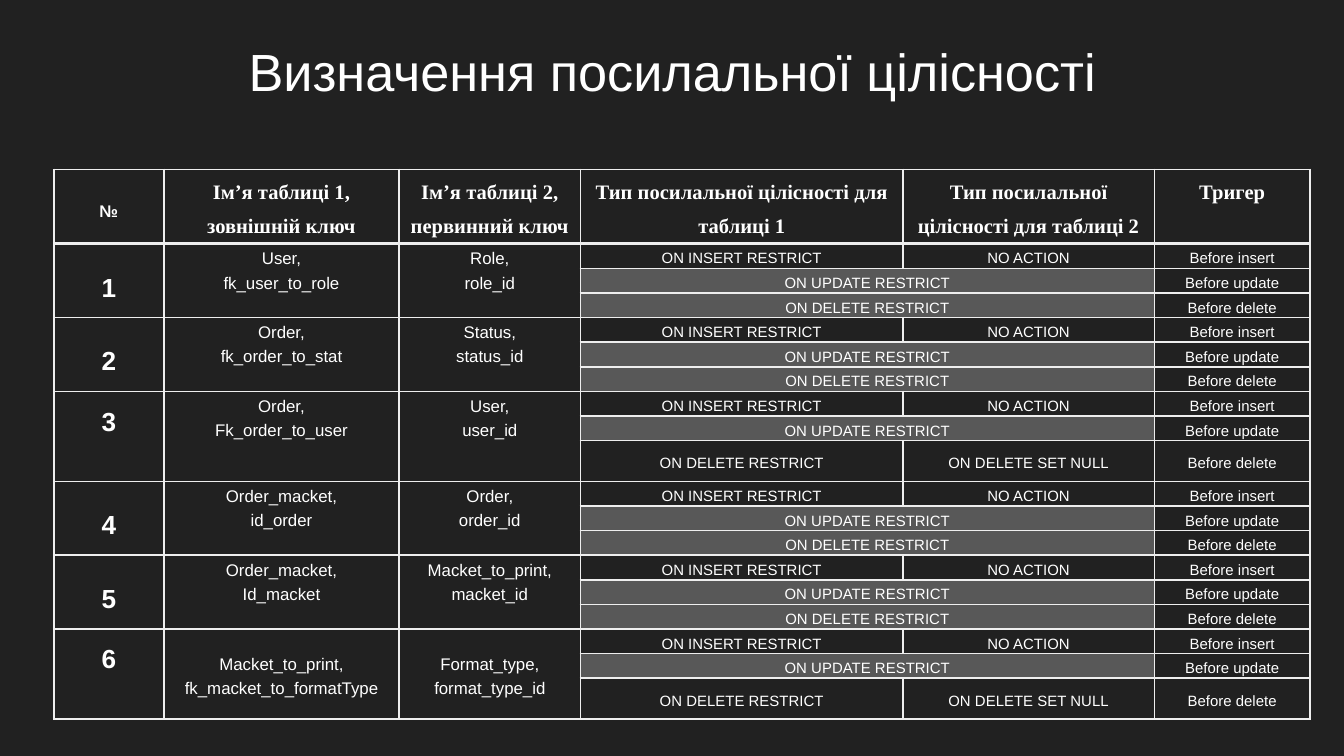
"""Builds a slide with a table of referential integrity rules."""
from lxml.etree import SubElement as Sub
from pptx import Presentation
from pptx.dml.color import RGBColor as Rgb
from pptx.enum.text import MSO_ANCHOR as Anchor, PP_ALIGN as Align
from pptx.oxml.ns import qn
from pptx.util import Pt

TITLE = "Визначення посилальної цілісності"
HEADS = [
    "№",
    "Ім’я таблиці 1, зовнішній ключ",
    "Ім’я таблиці 2, первинний ключ",
    "Тип посилальної цілісності для таблиці 1",
    "Тип посилальної цілісності для таблиці 2",
    "Тригер",
]
LINKS = [
    ("User,\nfk_user_to_role", "Role,\nrole_id", False),
    ("Order,\nfk_order_to_stat", "Status,\nstatus_id", False),
    ("Order,\nFk_order_to_user", "User,\nuser_id", True),
    ("Order_macket,\nid_order", "Order,\norder_id", False),
    ("Order_macket,\nId_macket", "Macket_to_print, macket_id", False),
    ("Macket_to_print, fk_macket_to_formatType", "Format_type, format_type_id", True),
]
EVENTS = ["insert", "update", "delete"]
COLORS = {"back": "212121", "band": "585858", "text": "FFFFFF", "line": "EEEEEE"}
WIDTHS = [59, 126, 97.2, 172.8, 134.6, 83.5]
HEAD_H, ROW_H, TALL_H = 39.9, 13.2, 20.9


def style(par, size, bold=False, face="Arial", gap=1.3):
    par.alignment = Align.CENTER
    par.line_spacing = gap
    par.font.size = Pt(size)
    par.font.bold = bold
    par.font.name = face
    par.font.color.rgb = Rgb.from_string(COLORS["text"])


def edge(cell, row):
    props = cell._tc.get_or_add_tcPr()
    for side in "LRTB":
        thick = (row, side) in [(0, "B"), (1, "T")]
        line = Sub(props, qn(f"a:ln{side}"), w=str(Pt(2 if thick else 1)))
        fill = Sub(line, qn("a:solidFill"))
        Sub(fill, qn("a:srgbClr"), val=COLORS["line"])


def put(cell, text, size, anchor=Anchor.MIDDLE, fill="back", **look):
    cell.text = text
    cell.vertical_anchor = anchor
    cell.fill.solid()
    cell.fill.fore_color.rgb = Rgb.from_string(COLORS[fill])
    for par in cell.text_frame.paragraphs:
        style(par, size, **look)


def fill_head(grid):
    for col, text in enumerate(HEADS):
        if col:
            put(grid.cell(0, col), text, 11, Anchor.TOP, bold=True,
                face="Times New Roman", gap=1.5)
        else:
            put(grid.cell(0, col), text, 9, bold=True, gap=1.5)


def fill_link(grid, num, top, link):
    first, second, nulls = link
    for col in range(3):
        grid.cell(top, col).merge(grid.cell(top + 2, col))
    mark = grid.cell(top, 0)
    put(mark, str(num), 14, bold=True, gap=1.5)
    if nulls:
        mark.margin_bottom = Pt(23)
    anchor = Anchor.MIDDLE if num == len(LINKS) else Anchor.TOP
    for col, text in enumerate([first, second], 1):
        put(grid.cell(top, col), text, 9, anchor)
    for row, event in enumerate(EVENTS, top):
        rule = f"ON {event.upper()} RESTRICT"
        other = {"insert": "NO ACTION"}.get(event)
        if nulls and event == "delete":
            other = "ON DELETE SET NULL"
            grid.rows[row].height = Pt(TALL_H)
        left, right = grid.cell(row, 3), grid.cell(row, 4)
        if other:
            put(left, rule, 8)
            put(right, other, 8)
        else:
            left.merge(right)
            put(left, rule, 8, fill="band")
        put(grid.cell(row, 5), f"Before {event}", 8)


def main():
    deck = Presentation()
    deck.slide_width, deck.slide_height = Pt(720), Pt(405)
    slide = deck.slides.add_slide(deck.slide_layouts[6])
    slide.background.fill.solid()
    slide.background.fill.fore_color.rgb = Rgb.from_string(COLORS["back"])

    frame = slide.shapes.add_textbox(Pt(24.5), Pt(13.7), Pt(671), Pt(45.4)).text_frame
    frame.word_wrap = True
    frame.margin_top = frame.margin_bottom = Pt(7.2)
    frame.text = TITLE
    style(frame.paragraphs[0], 28, gap=1.0)

    count = 1 + len(LINKS) * len(EVENTS)
    tall = sum(link[2] for link in LINKS)
    height = HEAD_H + (count - 1 - tall) * ROW_H + tall * TALL_H
    grid = slide.shapes.add_table(
        count, len(HEADS), Pt(28.8), Pt(90.7), Pt(sum(WIDTHS)), Pt(height)).table
    grid.first_row = grid.horz_banding = False
    for col, width in zip(grid.columns, WIDTHS):
        col.width = Pt(width)
    for num, row in enumerate(grid.rows):
        row.height = Pt(ROW_H if num else HEAD_H)
        for cell in row.cells:
            edge(cell, num)
            cell.margin_left = cell.margin_right = Pt(2.2)
            cell.margin_top = cell.margin_bottom = 0
            put(cell, "", 8)

    fill_head(grid)
    for num, link in enumerate(LINKS, 1):
        fill_link(grid, num, 1 + (num - 1) * len(EVENTS), link)
    deck.save("out.pptx")


if __name__ == "__main__":
    main()
